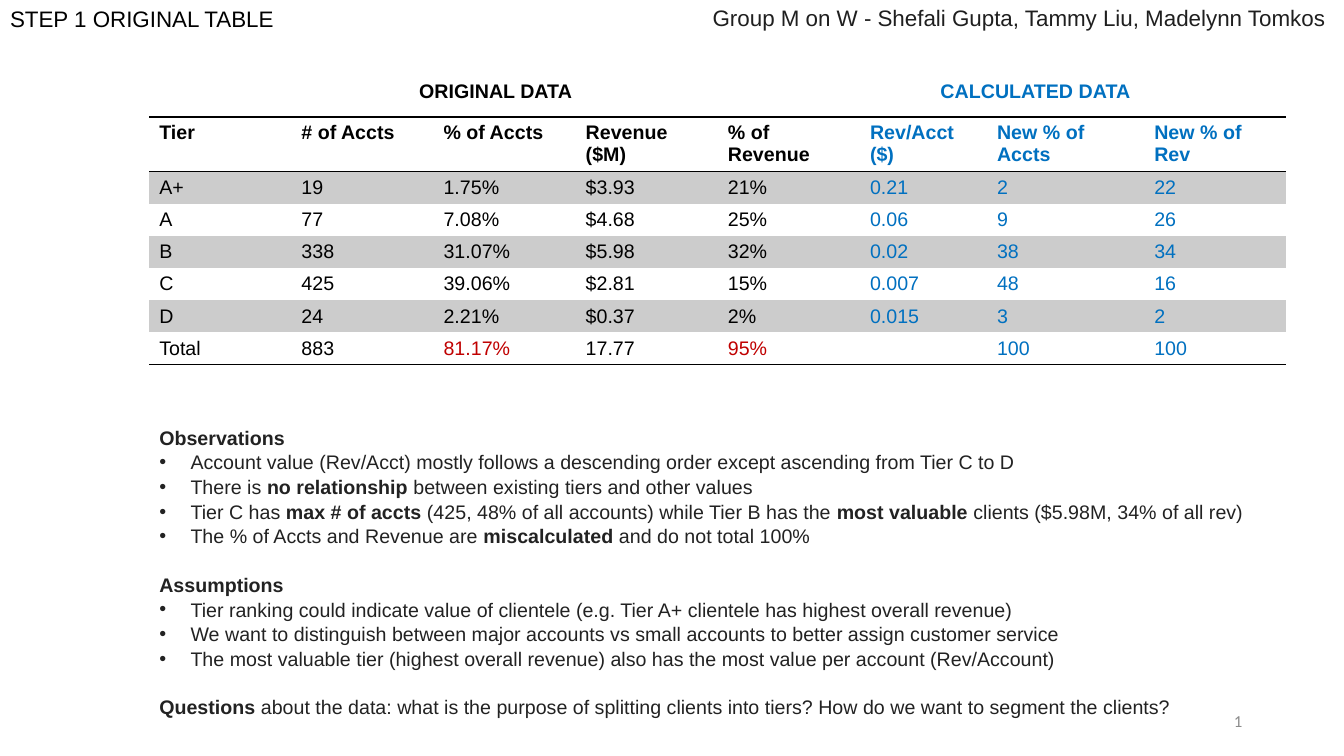
from lxml.etree import SubElement
from pptx import Presentation
from pptx.dml.color import RGBColor
from pptx.enum.text import MSO_ANCHOR, MSO_AUTO_SIZE, PP_ALIGN
from pptx.oxml.ns import qn
from pptx.util import Inches, Pt

BLACK, BLUE, RED, GRAY, INK = "000000", "0070C0", "C00000", "CCCCCC", "222222"
PLAIN = "{2D5ABB26-0587-4C30-8999-92F81FD0307C}"


def color(code):
    return RGBColor.from_string(code)


class Page:
    """Holds the style and the current slide, and draws its elements."""

    def __init__(self, deck, face="Arial", size=14):
        self.slide = deck.slides.add_slide(deck.slide_layouts[1])
        self.face, self.size = face, size

    def style(self, para, code, bold=None, size=None, face=None):
        font = para.font
        font.name, font.size = face or self.face, Pt(size or self.size)
        font.color.rgb, font.bold = color(code), bold

    def place(self, shape, box, wrap=False):
        shape.left, shape.top, shape.width, shape.height = map(Inches, box)
        frame = shape.text_frame
        frame.word_wrap, frame.auto_size = wrap, MSO_AUTO_SIZE.NONE
        frame.vertical_anchor = MSO_ANCHOR.TOP
        return frame

    def title(self, text, box):
        para = self.place(self.slide.shapes.title, box).paragraphs[0]
        para.text, para.alignment = text, PP_ALIGN.LEFT
        self.style(para, BLACK, size=16)

    def label(self, text, box, code, **look):
        shape = self.slide.shapes.add_textbox(*map(Inches, box))
        para = self.place(shape, box).paragraphs[0]
        para.text = text
        self.style(para, code, **look)

    def number(self, box):
        shape = self.slide.shapes.add_textbox(*map(Inches, box))
        frame = self.place(shape, box, True)
        frame.vertical_anchor = MSO_ANCHOR.MIDDLE
        para = frame.paragraphs[0]
        para.alignment = PP_ALIGN.RIGHT
        self.style(para, "8C8C8C", size=12, face="Calibri")
        field = SubElement(para._p, qn("a:fld"), type="slidenum",
                           id="{B6F15528-21DE-4FAA-801E-634DDDAF4B2B}")
        look = SubElement(field, qn("a:rPr"), lang="en-US", sz="1200")
        fill = SubElement(look, qn("a:solidFill"))
        SubElement(fill, qn("a:srgbClr"), val="8C8C8C")
        SubElement(look, qn("a:latin"), typeface="Calibri")
        SubElement(field, qn("a:t")).text = "1"

    def notes(self, groups, box):
        frame = self.place(self.slide.placeholders[1], box, True)
        para = frame.paragraphs[0]
        for place, (head, items) in enumerate(groups):
            for step, text in enumerate([head, *items]):
                if place or step:
                    para = frame.add_paragraph()
                self.style(para, INK)
                gap = 17 if place and not step else 0
                para.space_before, para.line_spacing = Pt(gap), 1.05
                for turn, part in enumerate(text.split("**")):
                    if part:
                        run = para.add_run()
                        run.text, run.font.bold = part, turn % 2 == 1
                self.bullet(para, step > 0)

    def bullet(self, para, shown):
        props = para._p.get_or_add_pPr()
        inset = Inches(0.31) if shown else 0
        props.set("marL", str(inset))
        props.set("indent", str(-inset))
        if shown:
            SubElement(props, qn("a:buFont"), typeface="Arial")
            SubElement(props, qn("a:buChar"), char="•")
        else:
            SubElement(props, qn("a:buNone"))
        base = props.find(qn("a:defRPr"))
        if base is not None:
            props.append(base)

    def edge(self, cell, side):
        line = SubElement(cell._tc.get_or_add_tcPr(), qn(side), w="12700")
        fill = SubElement(line, qn("a:solidFill"))
        SubElement(fill, qn("a:srgbClr"), val=BLACK)

    def table(self, rows, widths, heights, box):
        grid = self.slide.shapes.add_table(
            len(rows), len(widths), *map(Inches, box)).table
        grid._tbl.tblPr.find(qn("a:tableStyleId")).text = PLAIN
        grid.horz_banding = False
        for col, width in zip(grid.columns, widths):
            col.width = Inches(width)
        for row, height in zip(grid.rows, heights):
            row.height = Inches(height)
        last = len(rows) - 1
        for r, row in enumerate(rows):
            for c, text in enumerate(row):
                cell = grid.cell(r, c)
                cell.text = text
                wrong = r == last and text.endswith("%")
                code = RED if wrong else BLUE if c > 4 else BLACK
                for para in cell.text_frame.paragraphs:
                    self.style(para, code, r == 0)
                if r == 0:
                    self.edge(cell, "a:lnT")
                if r in (0, last):
                    self.edge(cell, "a:lnB")
                if r % 2:
                    cell.fill.solid()
                    cell.fill.fore_color.rgb = color(GRAY)
                else:
                    cell.fill.background()


ROWS = [
    ["Tier", "# of Accts", "% of Accts", "Revenue ($M)", "% of Revenue",
     "Rev/Acct\n($)", "New % of Accts", "New % of Rev"],
    ["A+", "19", "1.75%", "$3.93", "21%", "0.21", "2", "22"],
    ["A", "77", "7.08%", "$4.68", "25%", "0.06", "9", "26"],
    ["B", "338", "31.07%", "$5.98", "32%", "0.02", "38", "34"],
    ["C", "425", "39.06%", "$2.81", "15%", "0.007", "48", "16"],
    ["D", "24", "2.21%", "$0.37", "2%", "0.015", "3", "2"],
    ["Total", "883", "81.17%", "17.77", "95%", "", "100", "100"],
]
NOTES = [
    ("**Observations**", [
        "Account value (Rev/Acct) mostly follows a descending order "
        "except ascending from Tier C to D",
        "There is **no relationship **between existing tiers and other values",
        "Tier C has **max # of accts **(425, 48% of all accounts) while Tier B "
        "has the **most valuable **clients ($5.98M, 34% of all rev)",
        "The % of Accts and Revenue are **miscalculated** "
        "and do not total 100%"]),
    ("**Assumptions**", [
        "Tier ranking could indicate value of clientele "
        "(e.g. Tier A+ clientele has highest overall revenue)",
        "We want to distinguish between major accounts vs small accounts "
        "to better assign customer service",
        "The most valuable tier (highest overall revenue) also has "
        "the most value per account (Rev/Account)"]),
    ("**Questions** about the data: what is the purpose of splitting clients "
     "into tiers? How do we want to segment the clients?", []),
]

deck = Presentation()
deck.slide_width, deck.slide_height = Inches(13.33), Inches(7.5)
page = Page(deck)
page.title("STEP 1 ORIGINAL TABLE", (0, 0, 2.85, 0.37))
page.label("Group M on W - Shefali Gupta, Tammy Liu, Madelynn Tomkos",
           (6.97, -0.01, 6.36, 0.37), "1F1F1F", size=16)
page.label("ORIGINAL DATA", (4.06, 0.73, 1.73, 0.34), BLACK, bold=True)
page.label("CALCULATED DATA", (9.23, 0.73, 2.1, 0.34), BLUE, bold=True)
page.table(ROWS, [1.41] * 5 + [1.26, 1.56, 1.41], [0.54] + [0.32] * 6,
           (1.48, 1.16, 11.28, 2.46))
page.notes(NOTES, (1.48, 4.16, 11.28, 2.93))
page.number((9.42, 6.95, 3, 0.4))
deck.save("out.pptx")
